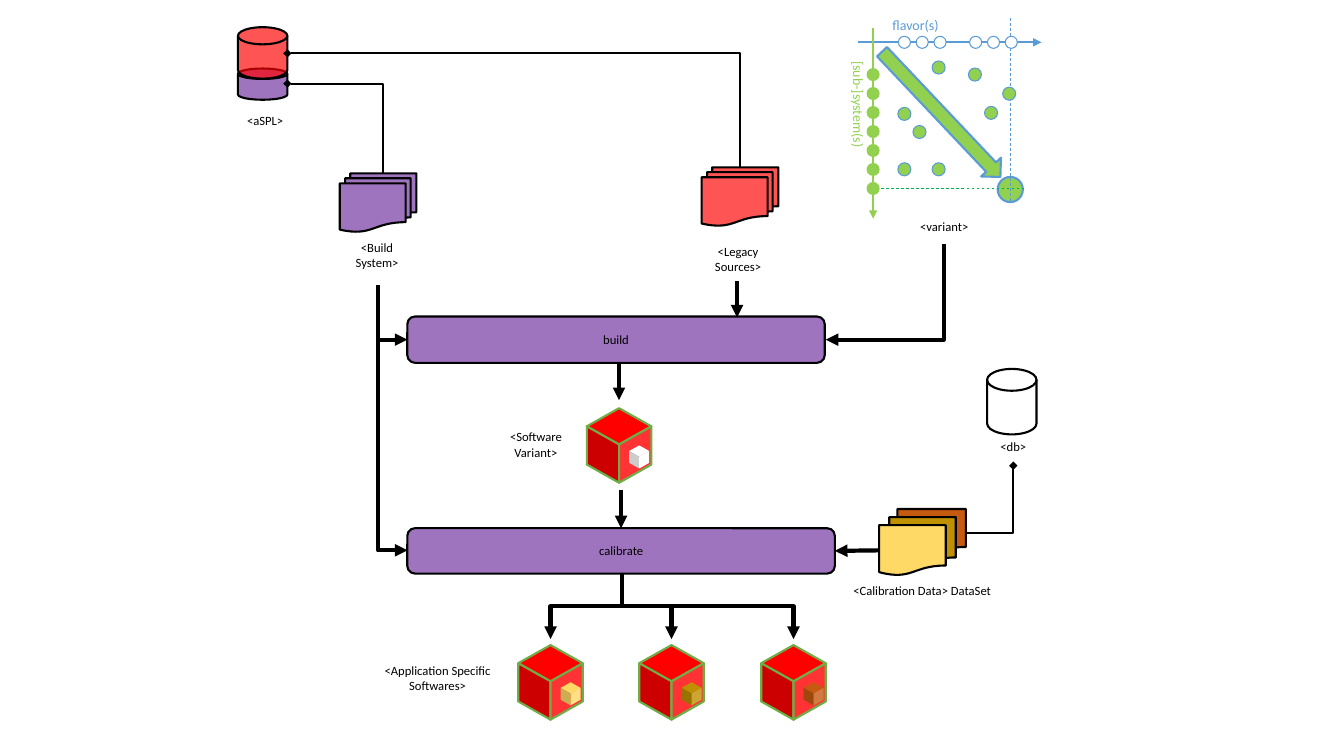
from dataclasses import dataclass

from lxml.etree import SubElement
from pptx import Presentation
from pptx.dml.color import RGBColor
from pptx.enum.dml import MSO_LINE
from pptx.enum.shapes import MSO_CONNECTOR, MSO_SHAPE
from pptx.enum.text import MSO_ANCHOR, PP_ALIGN
from pptx.oxml.ns import qn
from pptx.util import Inches, Pt


@dataclass(frozen=True)
class Theme:
    font: str = "Calibri"
    label_size: float = 9
    axis_size: float = 10
    thin: float = 0.5
    fine: float = 0.75
    medium: float = 1.5
    heavy: float = 3
    opacity: int = 67
    black: str = "000000"
    white: str = "FFFFFF"
    purple: str = "7030A0"
    red: str = "FF0000"
    edge: str = "70AD47"
    blue: str = "5B9BD5"
    lime: str = "92D050"
    green: str = "00B050"
    yellow: str = "FFD966"
    gold: str = "BF9000"
    rust: str = "C55A11"


def blend(colour, target, share):
    """Mix two hexadecimal colours; share is the part of the target."""
    pairs = zip(bytes.fromhex(colour), bytes.fromhex(target))
    return "".join(f"{round(a + (b - a) * share):02X}" for a, b in pairs)


class Diagram:
    def __init__(self, slide, theme):
        self.slide, self.theme = slide, theme

    def paint(self, shape, fill, line=None, width=None, opacity=100):
        shape.shadow.inherit = False
        shape.fill.solid()
        shape.fill.fore_color.rgb = RGBColor.from_string(fill)
        if opacity < 100:
            colour = shape.element.spPr.find(qn("a:solidFill"))[0]
            SubElement(colour, qn("a:alpha")).set("val", str(opacity * 1000))
        if line:
            shape.line.color.rgb = RGBColor.from_string(line)
            shape.line.width = Pt(width)
        else:
            shape.line.fill.background()

    def set_text(self, shape, text, size, colour, anchor):
        frame = shape.text_frame
        frame.text = text
        frame.word_wrap = True
        frame.vertical_anchor = anchor
        for paragraph in frame.paragraphs:
            paragraph.alignment = PP_ALIGN.CENTER
            for run in paragraph.runs:
                run.font.name = self.theme.font
                run.font.size = Pt(size)
                run.font.color.rgb = RGBColor.from_string(colour)

    def shape(self, kind, box, fill, line=None, width=None, opacity=100, rotation=0):
        shape = self.slide.shapes.add_shape(kind, *map(Inches, box))
        self.paint(shape, fill, line, width, opacity)
        shape.rotation = rotation
        return shape

    def symbol(self, kind, box, fill, opacity=None):
        theme = self.theme
        return self.shape(kind, box, fill, theme.black, theme.medium, opacity or theme.opacity)

    def step(self, box, text):
        bar = self.symbol(MSO_SHAPE.ROUNDED_RECTANGLE, box, self.theme.purple)
        self.set_text(bar, text, self.theme.label_size, self.theme.black, MSO_ANCHOR.MIDDLE)
        return bar

    def label(self, box, text, size=None, colour=None, anchor=MSO_ANCHOR.TOP, rotation=0):
        label = self.slide.shapes.add_textbox(*map(Inches, box))
        self.set_text(label, text, size or self.theme.label_size, colour or self.theme.black, anchor)
        label.rotation = rotation

    def dot(self, x, y, diameter, fill, line=None, width=None):
        box = (x - diameter / 2, y - diameter / 2, diameter, diameter)
        self.shape(MSO_SHAPE.OVAL, box, fill, line, width)

    def finish_line(self, connector, colour, width, head=None, tail=None, dash=None):
        connector.line.color.rgb = RGBColor.from_string(colour)
        connector.line.width = Pt(width)
        if dash:
            connector.line.dash_style = dash
        properties = connector.element.spPr
        for tag, end in (("a:headEnd", head), ("a:tailEnd", tail)):
            if end:
                SubElement(properties.find(qn("a:ln")), qn(tag)).set("type", end)
        SubElement(properties, qn("a:effectLst"))

    def straight(self, start, end, colour, width, tail=None, dash=None, source=None, target=None):
        connector = self.slide.shapes.add_connector(
            MSO_CONNECTOR.STRAIGHT, *map(Inches, start + end))
        if source:
            connector.begin_connect(*source)
        if target:
            connector.end_connect(*target)
        self.finish_line(connector, colour, width, tail=tail, dash=dash)

    def elbow(self, start, end, width, head=None, tail=None, down_first=True, bends=1):
        (x1, y1), (x2, y2) = start, end
        across, down = abs(x2 - x1), abs(y2 - y1)
        # A turned frame swaps its width and height about the same centre
        w, h = (down, across) if down_first else (across, down)
        left, top = (x1 + x2 - w) / 2, (y1 + y2 - h) / 2
        connector = self.slide.shapes.add_connector(
            MSO_CONNECTOR.ELBOW, *map(Inches, (left, top, left + w, top + h)))
        properties = connector.element.spPr
        properties.find(qn("a:prstGeom")).set("prst", f"bentConnector{bends + 1}")
        if down_first:
            frame = properties.find(qn("a:xfrm"))
            frame.set("rot", str((270 if x2 > x1 else 90) * 60000))
            if x2 > x1:
                frame.set("flipH", "1")
        self.finish_line(connector, self.theme.black, width, head, tail)

    def cube(self, x, y, colour, scale=1, line=None):
        """Three faces that meet at the corner (x, y)."""
        w, rise, h = 0.32 * scale, 0.18 * scale, 0.38 * scale
        left, right = (x - w, y - rise), (x + w, y - rise)
        corner, base = (x, y), (x, y + h)
        faces = (
            (colour, (left, (x, y - 2 * rise), right, corner)),
            (blend(colour, self.theme.black, 0.2), (left, corner, base, (x - w, y + h - rise))),
            (blend(colour, self.theme.white, 0.2), (corner, right, (x + w, y + h - rise), base)),
        )
        for fill, points in faces:
            points = [(Inches(px), Inches(py)) for px, py in points]
            builder = self.slide.shapes.build_freeform(*points[0])
            builder.add_line_segments(points[1:], close=True)
            self.paint(builder.convert_to_shape(), fill, line, self.theme.medium)

    def software(self, x, y, core):
        self.cube(x, y, self.theme.red, line=self.theme.edge)
        self.cube(x + 0.2, y + 0.12, core, scale=0.31)


def main():
    presentation = Presentation()
    presentation.slide_width, presentation.slide_height = Inches(13.33), Inches(7.5)
    slide = presentation.slides.add_slide(presentation.slide_layouts[6])
    theme = Theme()
    diagram = Diagram(slide, theme)
    arrow = {"width": theme.heavy, "tail": "triangle"}
    source_link = {"width": theme.medium, "head": "diamond"}

    # Product line store and its two outputs
    diagram.label((2.31, 1.07, 0.64, 0.31), "<aSPL>")
    diagram.symbol(MSO_SHAPE.FLOWCHART_MAGNETIC_DISK, (2.36, 0.68, 0.49, 0.31), theme.purple)
    diagram.symbol(MSO_SHAPE.FLOWCHART_MAGNETIC_DISK, (2.36, 0.27, 0.49, 0.51), theme.red)
    diagram.symbol(MSO_SHAPE.FLOWCHART_MULTIDOCUMENT, (3.37, 1.72, 0.76, 0.58), theme.purple)
    diagram.label((3.26, 2.33, 0.96, 0.49), "<Build\nSystem>")
    diagram.symbol(MSO_SHAPE.FLOWCHART_MULTIDOCUMENT, (6.96, 1.66, 0.76, 0.58), theme.red)
    diagram.label((6.84, 2.32, 0.96, 0.49), "<Legacy\nSources>", anchor=MSO_ANCHOR.MIDDLE)
    diagram.elbow((2.85, 0.83), (3.8, 1.72), down_first=False, **source_link)
    diagram.elbow((2.85, 0.53), (7.34, 1.66), down_first=False, **source_link)

    # Build and calibrate steps
    diagram.step((4.04, 3.14, 4.14, 0.46), "build")
    calibrate = diagram.step((4.04, 5.24, 4.24, 0.45), "calibrate")
    for y in (3.37, 5.46):
        diagram.elbow((3.75, 2.83), (4.04, y), **arrow)
    diagram.elbow((9.36, 2.42), (8.19, 3.37), **arrow)
    diagram.straight((7.31, 2.79), (7.31, 3.15), theme.black, **arrow)

    # Software variant between the steps
    diagram.label((4.74, 4.21, 1.15, 0.4), "<Software Variant>")
    diagram.software(6.14, 4.41, theme.white)
    diagram.straight((6.14, 3.61), (6.14, 3.97), theme.black, **arrow)
    diagram.straight((6.16, 4.86), (6.16, 5.24), theme.black, target=(calibrate, 0), **arrow)

    # Calibration data and database
    for x, y, w, h, colour in ((8.9, 5.05, 0.68, 0.47, theme.rust),
                               (8.82, 5.13, 0.66, 0.5, theme.gold),
                               (8.72, 5.21, 0.66, 0.5, theme.yellow)):
        dataset = diagram.symbol(MSO_SHAPE.FLOWCHART_DOCUMENT, (x, y, w, h), colour, opacity=100)
    diagram.label((8.27, 5.73, 1.75, 0.46), "<Calibration Data> DataSet")
    diagram.straight((8.72, 5.46), (8.28, 5.46), theme.black,
                     source=(dataset, 1), target=(calibrate, 3), **arrow)
    diagram.symbol(MSO_SHAPE.FLOWCHART_MAGNETIC_DISK, (9.79, 3.66, 0.49, 0.65), theme.white)
    diagram.label((9.54, 4.24, 1.02, 0.38), "<db>", anchor=MSO_ANCHOR.MIDDLE)
    diagram.elbow((10.05, 4.62), (9.58, 5.29), **source_link)

    # Application specific softwares
    diagram.label((3.46, 6.53, 1.76, 0.66), "<Application Specific\nSoftwares>")
    for x, core in ((5.46, theme.yellow), (6.66, theme.gold), (7.87, theme.rust)):
        diagram.software(x, 6.76, core)
        diagram.elbow((6.17, 5.69), (x, 6.34), bends=2, **arrow)

    # Variant chart: axes, direction and guides
    diagram.dot(10.02, 1.88, 0.25, theme.lime, theme.blue, theme.medium)
    diagram.straight((8.51, 0.42), (10.33, 0.42), theme.blue, theme.medium, tail="triangle")
    diagram.straight((8.66, 0.28), (8.66, 2.17), theme.lime, theme.medium, tail="triangle")
    diagram.label((8.37, 0.11, 1.42, 0.27), "flavor(s)", theme.axis_size, theme.blue)
    diagram.label((7.76, 0.9, 1.51, 0.27), "[sub-]system(s)", theme.axis_size, theme.lime, rotation=90)
    diagram.shape(MSO_SHAPE.RIGHT_ARROW, (8.48, 1, 1.71, 0.27), theme.lime,
                  theme.blue, theme.medium, rotation=46.6)
    diagram.straight((10.02, 0.18), (10.02, 2), theme.blue, theme.thin, dash=MSO_LINE.DASH)
    diagram.straight((10.16, 1.87), (8.62, 1.87), theme.green, theme.thin, dash=MSO_LINE.DASH)

    # Variant chart: dots on the axes and in the field
    for index in (0, 1, 2, 4, 5, 6):
        diagram.dot(8.97 + index * 1.06 / 6, 0.42, 0.12, theme.white, theme.blue, theme.fine)
    for index in range(7):
        diagram.dot(8.66, 0.74 + index * 1.13 / 6, 0.13, theme.lime)
    for x, y in ((9.31, 0.67), (9.67, 0.74), (8.97, 1.68), (9.31, 1.68),
                 (9.12, 1.31), (9.83, 1.12), (8.97, 1.13), (10.01, 0.93)):
        diagram.dot(x, y, 0.13, theme.lime, theme.blue, theme.fine)
    diagram.label((8.99, 2.12, 0.75, 0.31), "<variant>")

    presentation.save("out.pptx")


if __name__ == "__main__":
    main()
